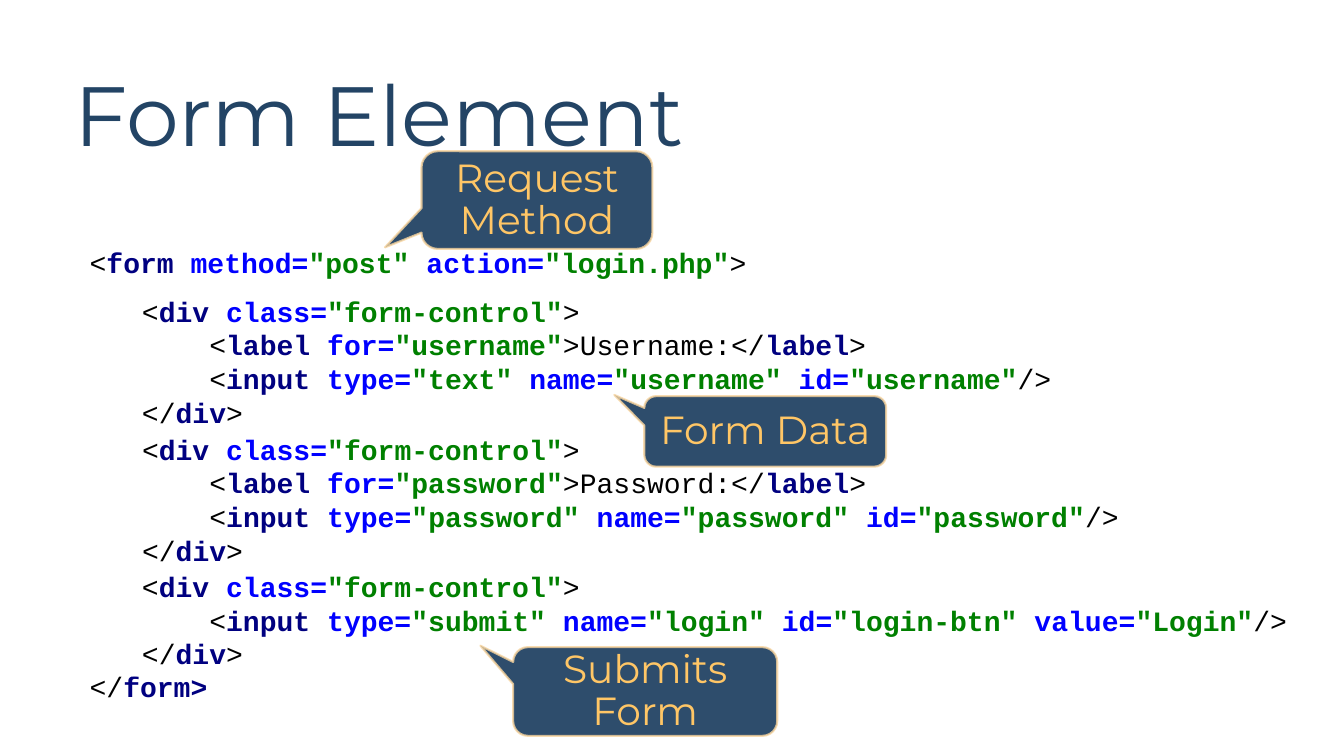
from dataclasses import dataclass
from itertools import groupby

from lxml.etree import SubElement
from pptx import Presentation
from pptx.dml.color import RGBColor
from pptx.enum.shapes import MSO_SHAPE
from pptx.enum.text import MSO_ANCHOR, MSO_AUTO_SIZE, PP_ALIGN
from pptx.oxml.ns import qn
from pptx.util import Inches, Pt


@dataclass(frozen=True)
class Theme:
    heading_font: str = "Montserrat"
    code_font: str = "Courier New"
    title_size: int = 60
    callout_size: int = 28
    code_size: int = 20
    navy: str = "234465"
    gold: str = "FFC666"
    outline: str = "F8D49E"
    paper: str = "FFFFFF"
    plain: str = "000000"
    tag: str = "000080"
    attribute: str = "0000FF"
    string: str = "008000"


def code_kinds(code, punctuation):
    kind, previous, quoted = "plain", "", False
    for char in code:
        if char == '"':
            quoted, kind = not quoted, "string"
        elif char == "\n":
            kind = "break"
        elif not quoted:
            if char in punctuation or kind == "break":
                kind = "plain"
            elif previous and previous in "</":
                kind = "tag"
            elif previous == " " and kind != "plain":
                kind = "attribute"
        yield kind, char
        previous = char


class FormSlide:
    def __init__(self, deck, theme):
        self.deck, self.theme = deck, theme
        self.slide = deck.slides.add_slide(deck.slide_layouts[5])

    def place(self, left, top, width, height):
        across, down = self.deck.slide_width / 100, self.deck.slide_height / 100
        return [round(n) for n in (left * across, top * down, width * across, height * down)]

    def style(self, run, font, size, color, bold=False):
        run.font.name, run.font.size, run.font.bold = font, Pt(size), bold
        run.font.color.rgb = RGBColor.from_string(color)

    def fade(self, fill, percent):
        color = fill._xPr.find(qn("a:solidFill"))[0]
        SubElement(color, qn("a:alpha")).set("val", str(percent * 1000))

    def title(self, wording, *area):
        heading = self.slide.shapes.title
        heading.left, heading.top, heading.width, heading.height = self.place(*area)
        frame = heading.text_frame
        frame.text = wording
        frame.auto_size = MSO_AUTO_SIZE.NONE
        frame.vertical_anchor = MSO_ANCHOR.MIDDLE
        line = frame.paragraphs[0]
        line.alignment, line.line_spacing = PP_ALIGN.LEFT, 0.9
        self.style(line.runs[0], self.theme.heading_font, self.theme.title_size, self.theme.navy)

    def panel(self, outline, area, color):
        panel = self.slide.shapes.add_shape(outline, *self.place(*area))
        panel.shadow.inherit = False
        panel.fill.solid()
        panel.fill.fore_color.rgb = RGBColor.from_string(color)
        return panel

    def code(self, listing, *area, punctuation="<>/"):
        block = self.panel(MSO_SHAPE.RECTANGLE, area, self.theme.paper)
        block.line.fill.background()
        frame = block.text_frame
        frame.word_wrap = False
        frame.vertical_anchor = MSO_ANCHOR.TOP
        line = frame.paragraphs[0]
        line.alignment = PP_ALIGN.LEFT
        for kind, chars in groupby(code_kinds(listing, punctuation), lambda pair: pair[0]):
            if kind == "break":
                line.add_line_break()
                continue
            token = line.add_run()
            token.text = "".join(char for _, char in chars)
            self.style(token, self.theme.code_font, self.theme.code_size,
                       getattr(self.theme, kind), kind != "plain")

    def callout(self, wording, *area, tip=(-0.624, -0.517)):
        bubble = self.panel(MSO_SHAPE.ROUNDED_RECTANGULAR_CALLOUT, area, self.theme.navy)
        self.fade(bubble.fill, 95)
        bubble.adjustments[0], bubble.adjustments[1] = tip
        bubble.line.width = Pt(1.5)
        bubble.line.color.rgb = RGBColor.from_string(self.theme.outline)
        self.fade(bubble.line.fill, 80)
        frame = bubble.text_frame
        frame.text = wording
        frame.word_wrap = True
        frame.vertical_anchor = MSO_ANCHOR.MIDDLE
        line = frame.paragraphs[0]
        line.alignment, line.line_spacing = PP_ALIGN.CENTER, Pt(30)
        self.style(line.runs[0], self.theme.heading_font, self.theme.callout_size, self.theme.gold)


def field(name, kind, label):
    return (f'<div class="form-control">\n'
            f'    <label for="{name}">{label}:</label>\n'
            f'    <input type="{kind}" name="{name}" id="{name}"/>\n'
            f'</div>')


def main():
    deck = Presentation()
    deck.slide_width, deck.slide_height = Inches(13.33), Inches(7.5)
    page = FormSlide(deck, Theme())
    outer, inner = 5.93, 9.83

    page.title("Form Element", 4.8, 8.8, 95.12, 13.87)
    page.code('<form method="post" action="login.php">', outer, 31.87, 50.79, 10.27)
    page.code("</form>", outer, 87.87, 10.35, 5.87, punctuation="</")
    page.code(field("username", "text", "Username"), inner, 38.27, 69.69, 19.33)
    page.code(field("password", "password", "Password"), inner, 56.53, 74.72, 19.33)
    page.code('<div class="form-control">\n'
              '    <input type="submit" name="login" id="login-btn" value="Login"/>\n'
              '</div>', inner, 74.67, 87.4, 14.8)

    page.callout("Request Method", 31.36, 20, 17.18, 12.93, tip=(-0.658, 0.484))
    page.callout("Form Data", 47.94, 52.4, 18, 9.33)
    page.callout("Submits Form", 38.18, 85.6, 19.65, 11.73)
    deck.save("out.pptx")


if __name__ == "__main__":
    main()
